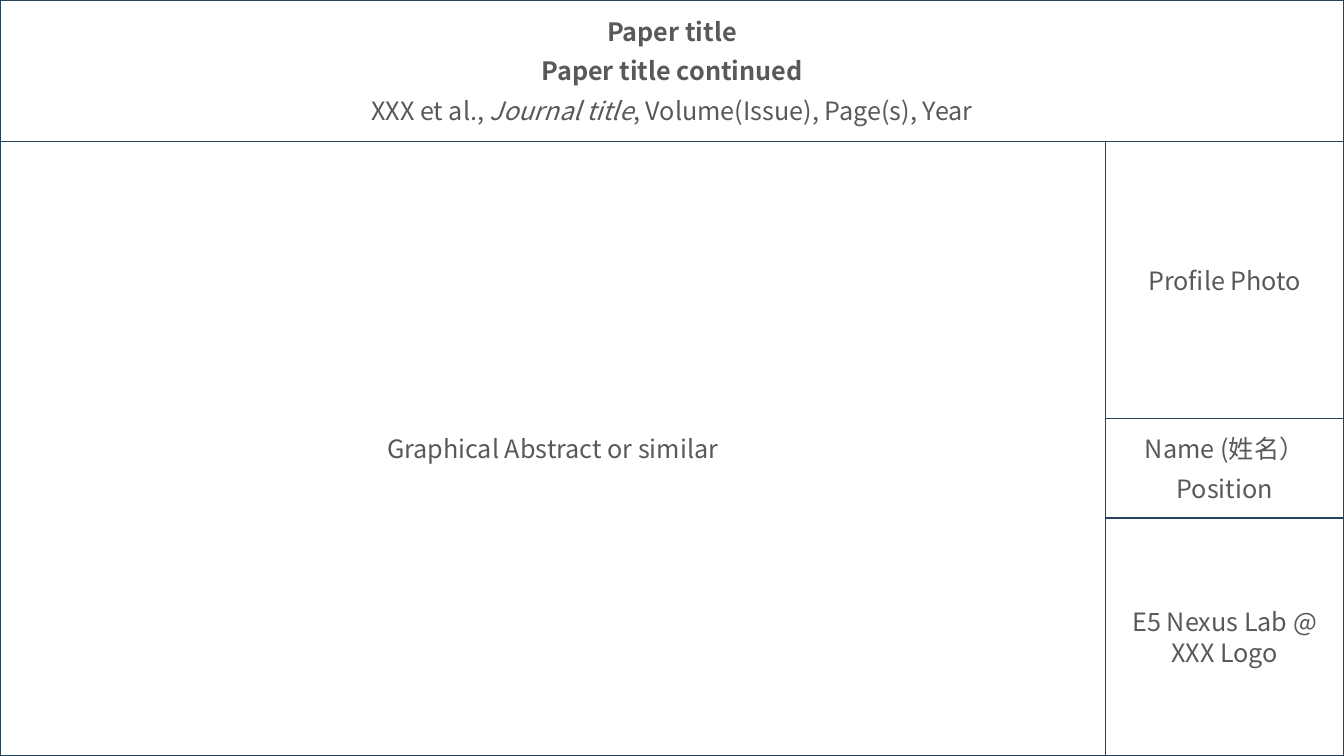
"""Build a paper summary slide: title band, abstract area and author column."""
from pptx import Presentation
from pptx.dml.color import RGBColor
from pptx.enum.shapes import MSO_SHAPE
from pptx.enum.text import MSO_ANCHOR, PP_ALIGN
from pptx.util import Cm, Pt

RECT = MSO_SHAPE.RECTANGLE
MIDDLE = MSO_ANCHOR.MIDDLE
CENTER = PP_ALIGN.CENTER
COLORS = {"border": "28445D", "text": "595959"}
FONT = "Noto Sans CJK SC"
WIDTH, HEIGHT = 33.87, 19.05
TITLE_BOTTOM, PHOTO_BOTTOM, NAME_BOTTOM = 3.56, 10.55, 13.05
COLUMN_LEFT = 27.86

prs = Presentation()
prs.slide_width, prs.slide_height = Cm(WIDTH), Cm(HEIGHT)
s = prs.slides.add_slide(prs.slide_layouts[6])


def add_panel(left, top, right, bottom, lines, space_after=0):
    """Add an outlined panel with centred lines and return its paragraphs."""
    sp = s.shapes.add_shape(RECT, Cm(left), Cm(top), Cm(right - left), Cm(bottom - top))
    sp.shadow.inherit = False
    sp.fill.background()
    sp.line.color.rgb = RGBColor.from_string(COLORS["border"])
    sp.line.width = Pt(1)
    tf = sp.text_frame
    tf.word_wrap = True
    tf.vertical_anchor = MIDDLE
    for i, runs in enumerate(lines):
        p = tf.paragraphs[0] if i == 0 else tf.add_paragraph()
        p.alignment = CENTER
        p.line_spacing = Pt(22)
        p.space_after = Pt(space_after)
        p.font.name = FONT
        p.font.size = Pt(18)
        p.font.color.rgb = RGBColor.from_string(COLORS["text"])
        for text in runs:
            p.add_run().text = text
    return tf.paragraphs


add_panel(COLUMN_LEFT, TITLE_BOTTOM, WIDTH, PHOTO_BOTTOM, [["Profile Photo"]])
name, position = add_panel(COLUMN_LEFT, PHOTO_BOTTOM, WIDTH, NAME_BOTTOM,
                           [["Name (姓名）"], ["Position"]])
name.space_after = Pt(6)
add_panel(COLUMN_LEFT, NAME_BOTTOM, WIDTH, HEIGHT, [["E5 Nexus Lab @ XXX Logo"]], 6)
title, subtitle, citation = add_panel(0, 0, WIDTH, TITLE_BOTTOM, [
    ["Paper title"],
    ["Paper title continued"],
    ["XXX et al., ", "Journal title", ", Volume(Issue), Page(s), Year"],
], 6)
title.font.bold = subtitle.font.bold = True
citation.runs[1].font.italic = True
add_panel(0, TITLE_BOTTOM, COLUMN_LEFT, HEIGHT, [["Graphical Abstract or similar"]])

prs.save("out.pptx")
